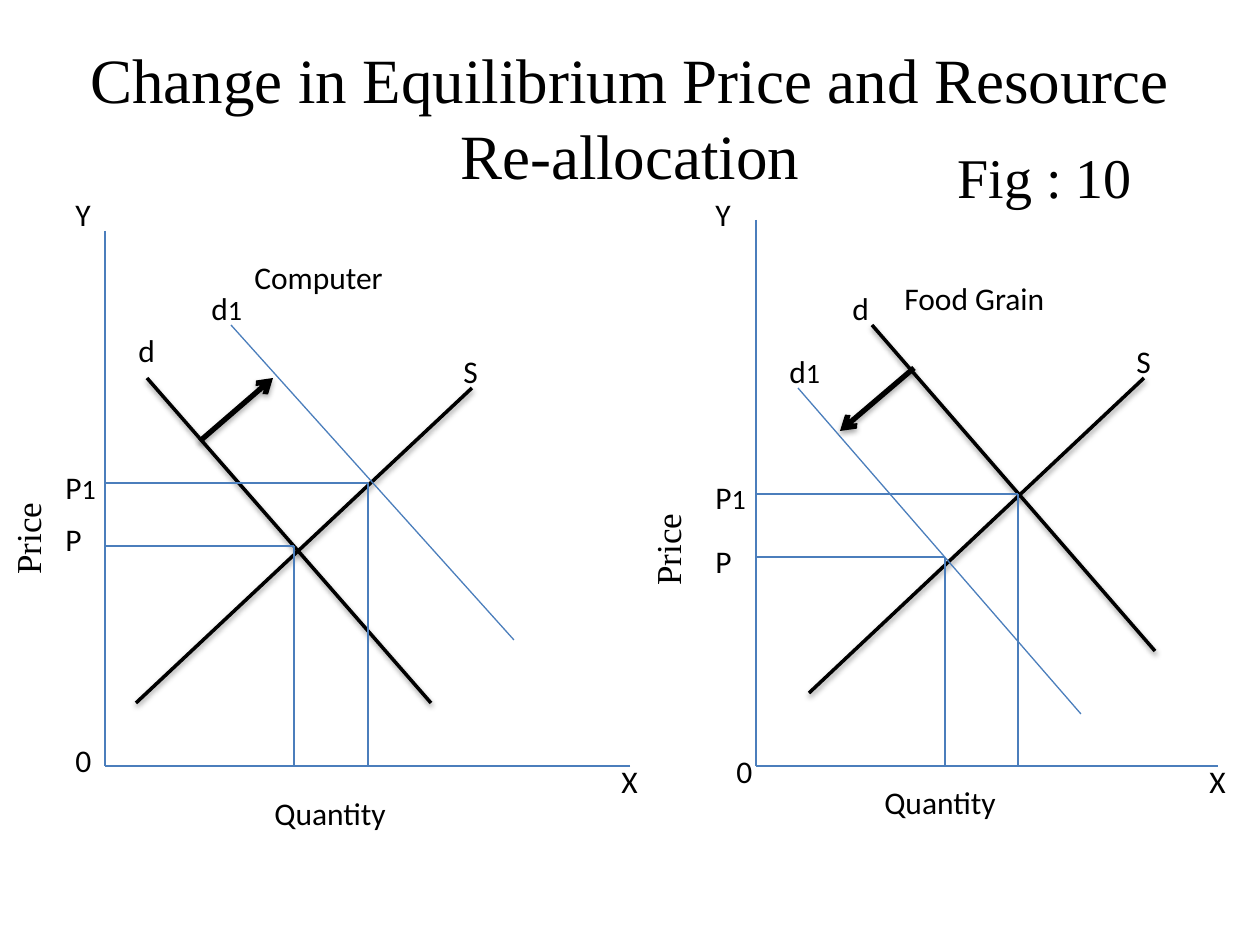
from lxml.etree import SubElement
from pptx import Presentation
from pptx.dml.color import RGBColor
from pptx.enum.shapes import MSO_CONNECTOR as CONNECTOR
from pptx.enum.text import MSO_ANCHOR as ANCHOR, MSO_AUTO_SIZE as AUTO_SIZE, PP_ALIGN as ALIGN
from pptx.oxml.ns import qn
from pptx.util import Pt

PX = 914400 / 126
COLORS = {"ink": "000000", "thin": "4B7EBC"}
SERIF, SANS = "Times New Roman", "Calibri"
# color, width, shadow (opacity, distance) and arrowhead of each kind of line
LINES = {
    "guide": ("thin", 0.75, None, False),
    "curve": ("ink", 2, (38000, 20000), False),
    "shift": ("ink", 3, (35000, 23000), True),
}

presentation = Presentation()
presentation.slide_width, presentation.slide_height = round(1260 * PX), round(945 * PX)
slide = presentation.slides.add_slide(presentation.slide_layouts[5])


def add_line(kind, *ends):
    color, width, shadow, arrow = LINES[kind]
    line = slide.shapes.add_connector(CONNECTOR.STRAIGHT, *[round(v * PX) for v in ends])
    line.line.color.rgb = RGBColor.from_string(COLORS[color])
    line.line.width = Pt(width)
    if arrow:
        SubElement(line.line._get_or_add_ln(), qn("a:tailEnd"), type="arrow")
    effects = SubElement(line._element.spPr, qn("a:effectLst"))
    if shadow:
        opacity, distance = shadow
        outer = SubElement(effects, qn("a:outerShdw"), blurRad="40000", dist=str(distance),
                           dir="5400000", rotWithShape="0")
        shade = SubElement(outer, qn("a:srgbClr"), val=COLORS["ink"])
        SubElement(shade, qn("a:alpha"), val=str(opacity))


def write_text(shape, box, runs, font=SANS, **frame_format):
    shape.left, shape.top, shape.width, shape.height = [round(v * PX) for v in box]
    frame = shape.text_frame
    for name, value in {"word_wrap": True, **frame_format}.items():
        setattr(frame, name, value)
    for text, size in runs:
        run = frame.paragraphs[0].add_run()
        run.text = text
        run.font.color.rgb = RGBColor.from_string(COLORS["ink"])
        for name, value in {"name": font, "size": Pt(size)}.items():
            setattr(run.font, name, value)


# Title
title = slide.shapes.title
write_text(title, (63, 38, 1134, 157),
           [("Change in Equilibrium Price and Resource Re-allocation", 36)], SERIF,
           vertical_anchor=ANCHOR.MIDDLE, auto_size=AUTO_SIZE.NONE)
title.text_frame.paragraphs[0].alignment = ALIGN.CENTER

# Two market charts: equilibria are (quantity, price) points
ORIGIN_Y = 766
charts = [
    {
        "axis_x": 105, "top": 231, "right": 630,
        "curves": [("curve", 147, 378, 431, 703), ("curve", 472, 388, 136, 703),
                   ("guide", 231, 325, 514, 640)],
        "equilibria": [(294, 546), (368, 483)],
        "shift": (200, 441, 273, 378),
        "labels": [("Y", 63, 189), ("0", 63, 735), ("X", 609, 756), ("d", 126, 325),
                   ("d1", 199, 283), ("P1", 53, 462), ("P", 53, 514), ("S", 451, 346)],
        "captions": [("Computer", 242, 252), ("Quantity", 262, 788)],
        "price": (0, 388),
    },
    {
        "axis_x": 756, "top": 220, "right": 1218,
        "curves": [("curve", 872, 325, 1155, 651), ("curve", 1144, 378, 809, 693),
                   ("guide", 798, 388, 1081, 714)],
        "equilibria": [(1018, 494), (945, 557)],
        "shift": (914, 368, 840, 431),
        "labels": [("Y", 703, 189), ("0", 724, 746), ("X", 1197, 756), ("d1", 777, 346),
                   ("d", 840, 283), ("S", 1124, 336), ("P", 703, 536), ("P1", 703, 472)],
        "captions": [("Food Grain", 892, 273), ("Quantity", 872, 777)],
        "price": (640, 399),
    },
]

for chart in charts:
    axis_x = chart["axis_x"]

    # Axes, curves and equilibrium guides
    add_line("guide", axis_x, chart["top"], axis_x, ORIGIN_Y)
    add_line("guide", chart["right"], ORIGIN_Y, axis_x, ORIGIN_Y)
    for curve in chart["curves"]:
        add_line(*curve)
    for quantity, price in chart["equilibria"]:
        add_line("guide", quantity, price, axis_x, price)
        add_line("guide", quantity, price, quantity, ORIGIN_Y)
    add_line("shift", *chart["shift"])

    # Labels, with a smaller index digit
    for width, group in ((63, chart["labels"]), (242, chart["captions"])):
        for text, left, top in group:
            runs = [(text[0], 18), ("1", 16)] if text.endswith("1") else [(text, 18)]
            write_text(slide.shapes.add_textbox(0, 0, 0, 0), (left, top, width, 50), runs,
                       auto_size=AUTO_SIZE.SHAPE_TO_FIT_TEXT)

    # Upright price label
    price_label = slide.shapes.add_textbox(0, 0, 0, 0)
    write_text(price_label, (*chart["price"], 68, 199), [("Price", 20)], SERIF,
               auto_size=AUTO_SIZE.SHAPE_TO_FIT_TEXT)
    price_label.text_frame._txBody.bodyPr.set("vert", "vert270")

# Figure number
write_text(slide.shapes.add_textbox(0, 0, 0, 0), (945, 136, 252, 81), [("Fig : 10", 32)], SERIF,
           auto_size=AUTO_SIZE.SHAPE_TO_FIT_TEXT)

presentation.save("out.pptx")
